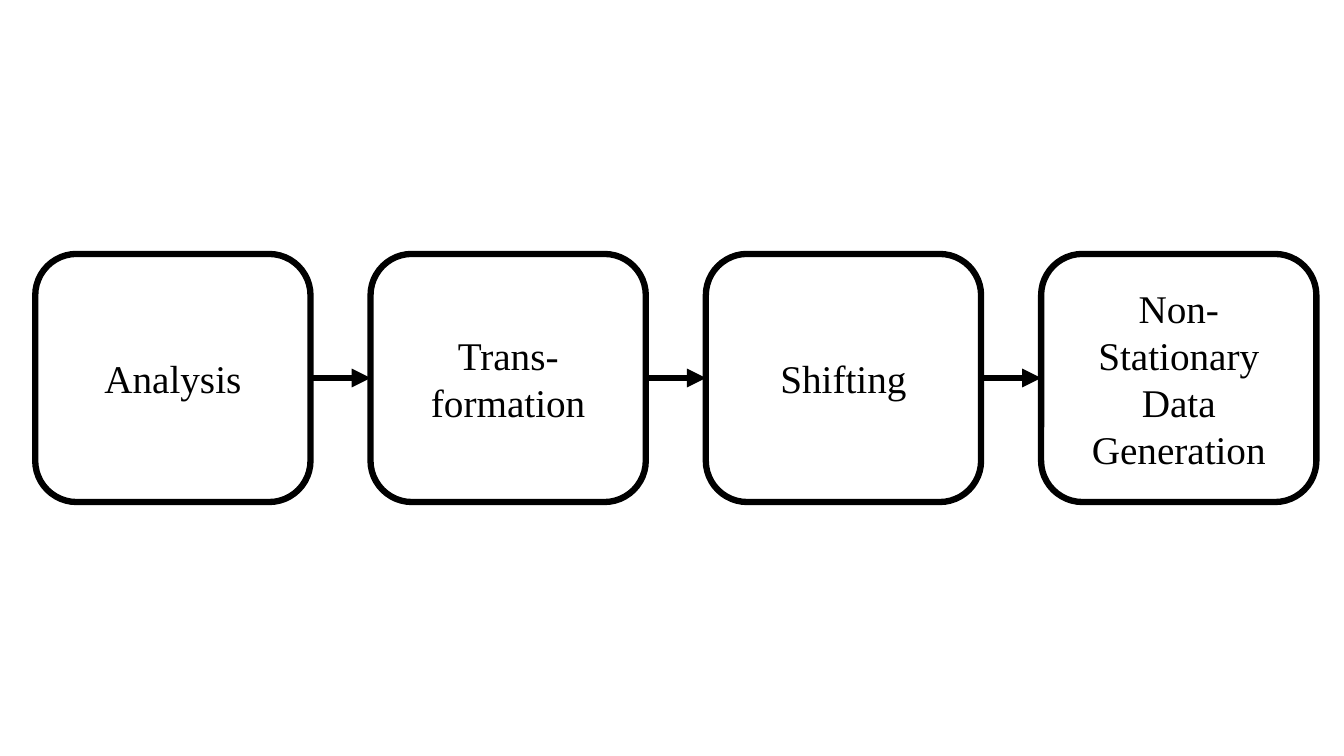
from itertools import pairwise

from lxml import etree
from pptx import Presentation
from pptx.dml.color import RGBColor
from pptx.enum.shapes import MSO_CONNECTOR, MSO_SHAPE
from pptx.enum.text import MSO_ANCHOR, PP_ALIGN
from pptx.oxml.ns import qn
from pptx.util import Pt

ROUNDED = MSO_SHAPE.ROUNDED_RECTANGLE
STRAIGHT = MSO_CONNECTOR.STRAIGHT
MIDDLE = MSO_ANCHOR.MIDDLE
CENTER = PP_ALIGN.CENTER
BLACK = RGBColor(0x00, 0x00, 0x00)
WHITE = RGBColor(0xFF, 0xFF, 0xFF)

BLANK_LAYOUT = 6
LEFT_SITE, RIGHT_SITE = 1, 3
SLIDE_WIDTH, SLIDE_HEIGHT = 960, 540
BOX_WIDTH, BOX_HEIGHT = 196.6, 177.2
FIRST_LEFT, STEP = 25.2, 239.5
STAGES = ["Analysis", "Trans-formation", "Shifting", "Non-Stationary Data Generation"]


def write_text(frame, text, *, font, size, color, alignment=CENTER, anchor=MIDDLE):
    frame.word_wrap = True
    frame.vertical_anchor = anchor
    paragraph = frame.paragraphs[0]
    paragraph.alignment = alignment
    run = paragraph.add_run()
    run.text = text
    run.font.name = font
    run.font.size = Pt(size)
    run.font.color.rgb = color


class FlowSlide:
    font = "Times New Roman"
    text_size = 28
    line_width = 4.5

    def __init__(self, presentation):
        self.slide = presentation.slides.add_slide(presentation.slide_layouts[BLANK_LAYOUT])

    def outline(self, line):
        line.color.rgb = BLACK
        line.width = Pt(self.line_width)

    def box(self, text, left, top, width, height):
        shape = self.slide.shapes.add_shape(ROUNDED, Pt(left), Pt(top), Pt(width), Pt(height))
        shape.shadow.inherit = False
        shape.fill.solid()
        shape.fill.fore_color.rgb = WHITE
        self.outline(shape.line)
        write_text(shape.text_frame, text, font=self.font, size=self.text_size, color=BLACK)
        return shape

    def arrow(self, source, target):
        connector = self.slide.shapes.add_connector(STRAIGHT, 0, 0, 0, 0)
        connector.begin_connect(source, RIGHT_SITE)
        connector.end_connect(target, LEFT_SITE)
        self.outline(connector.line)
        properties = connector._element.spPr
        etree.SubElement(properties.find(qn("a:ln")), qn("a:tailEnd"), type="triangle")
        etree.SubElement(properties, qn("a:effectLst"))


def main():
    presentation = Presentation()
    presentation.slide_width = Pt(SLIDE_WIDTH)
    presentation.slide_height = Pt(SLIDE_HEIGHT)
    flow = FlowSlide(presentation)
    top = (SLIDE_HEIGHT - BOX_HEIGHT) / 2
    boxes = [
        flow.box(stage, FIRST_LEFT + index * STEP, top, BOX_WIDTH, BOX_HEIGHT)
        for index, stage in enumerate(STAGES)
    ]
    for source, target in pairwise(boxes):
        flow.arrow(source, target)
    presentation.save("out.pptx")


if __name__ == "__main__":
    main()
